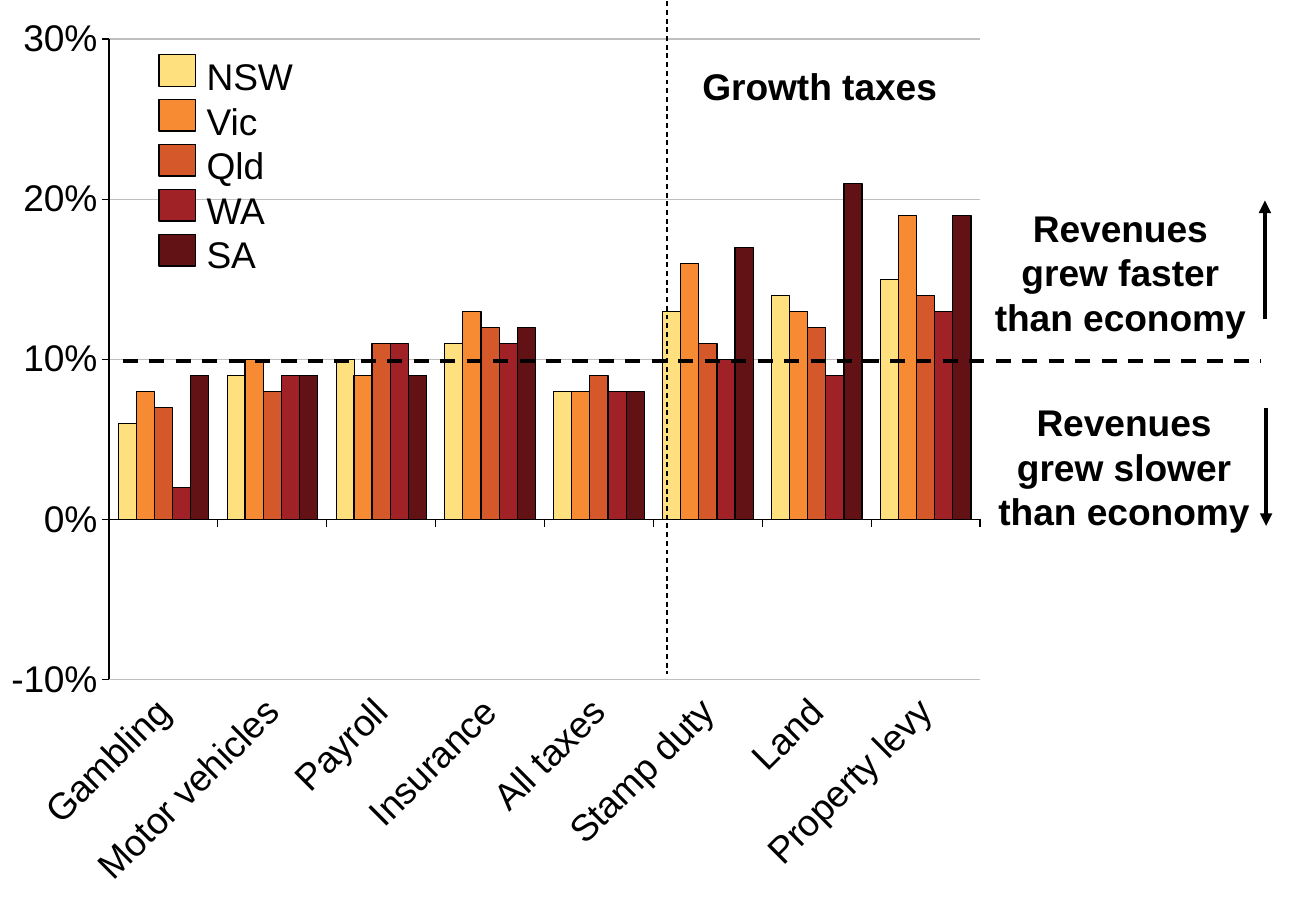
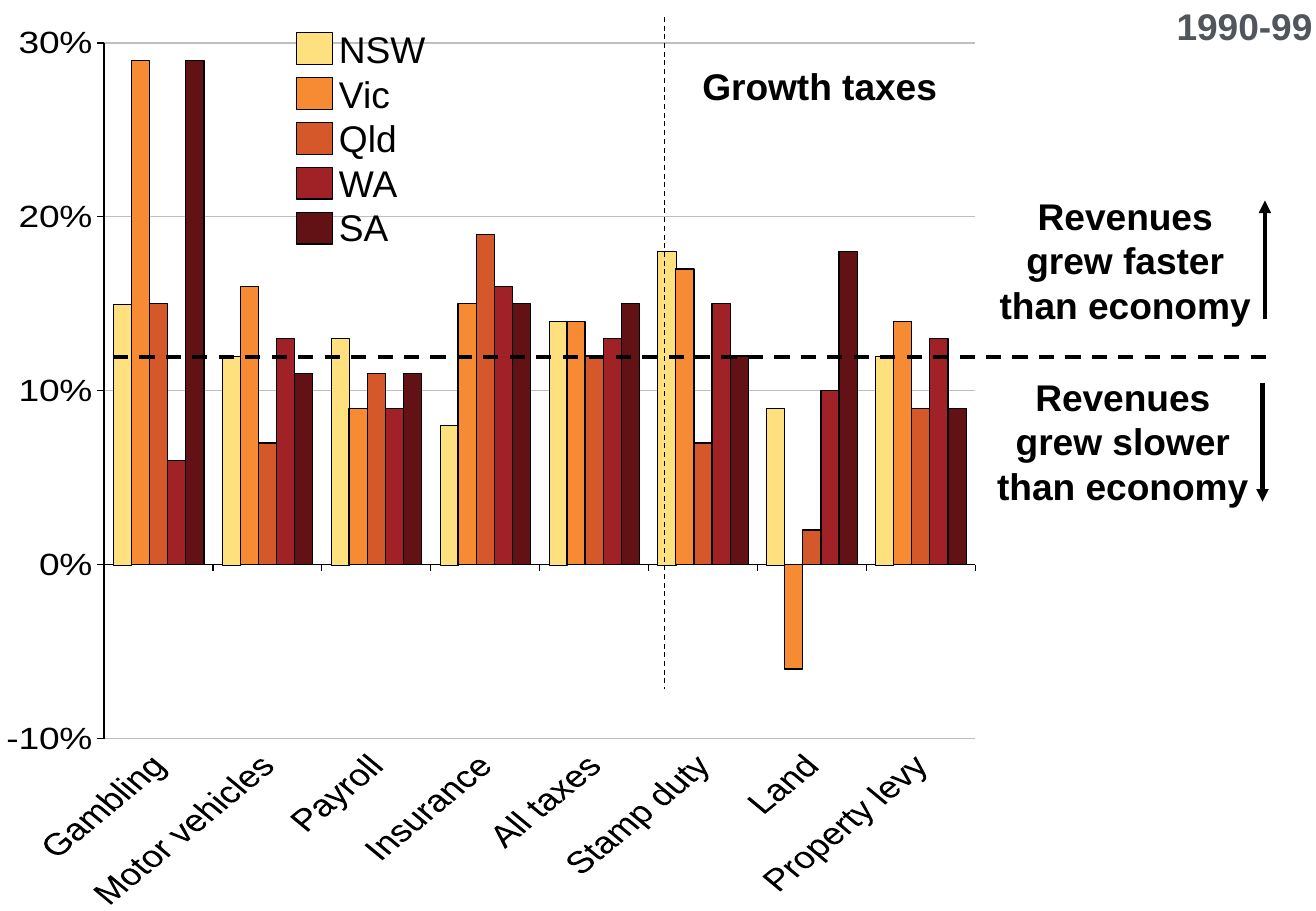
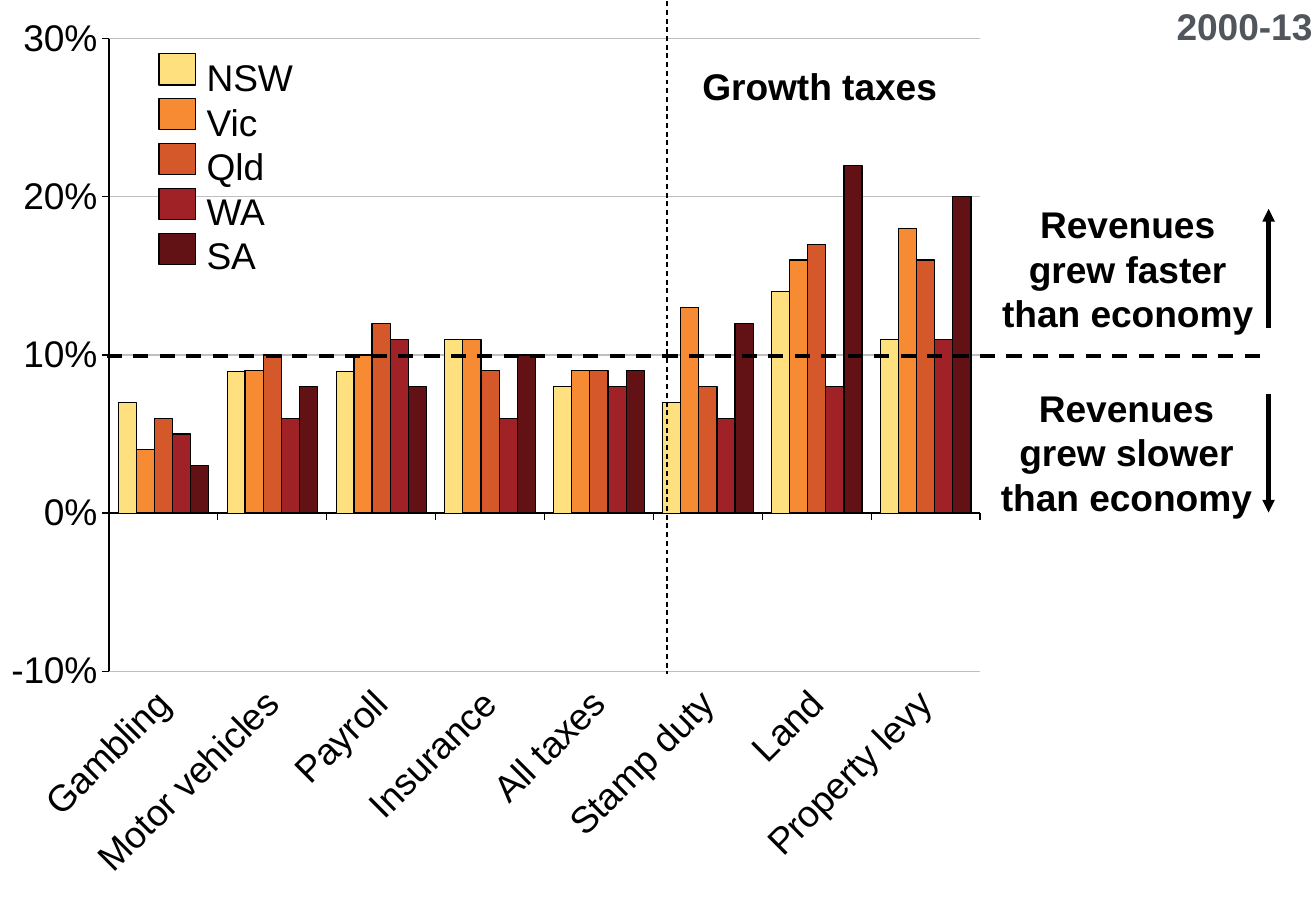
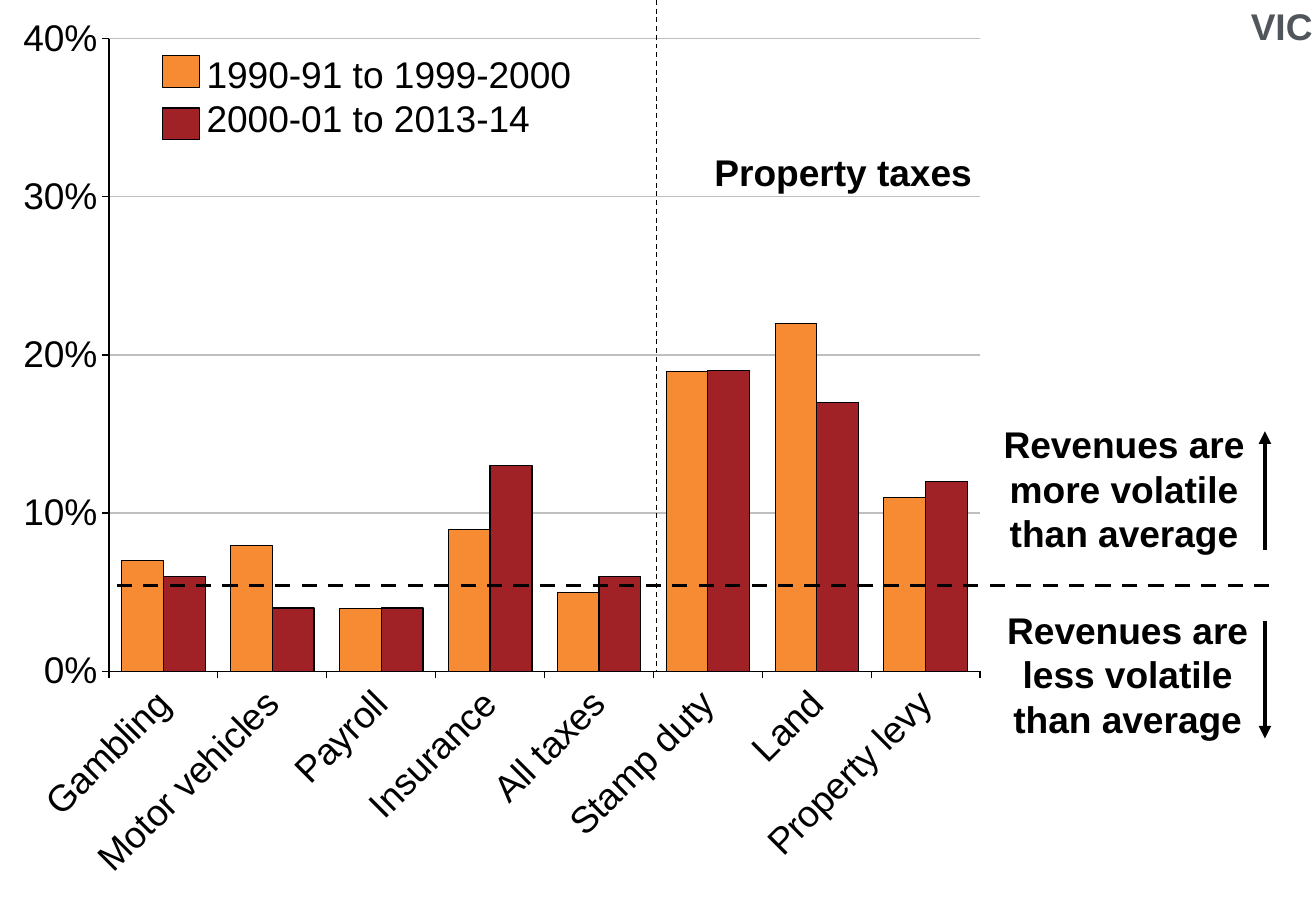
from dataclasses import dataclass

from lxml import etree
from pptx import Presentation
from pptx.chart.data import CategoryChartData
from pptx.dml.color import RGBColor
from pptx.enum.chart import XL_CHART_TYPE, XL_TICK_LABEL_POSITION, XL_TICK_MARK
from pptx.enum.dml import MSO_LINE
from pptx.enum.shapes import MSO_CONNECTOR, MSO_SHAPE
from pptx.enum.text import MSO_AUTO_SIZE, PP_ALIGN
from pptx.oxml import parse_xml
from pptx.oxml.ns import nsdecls, qn
from pptx.util import Inches, Pt

CLUSTERED = XL_CHART_TYPE.COLUMN_CLUSTERED
LABELS_LOW = XL_TICK_LABEL_POSITION.LOW
TICK_OUT, TICK_NONE = XL_TICK_MARK.OUTSIDE, XL_TICK_MARK.NONE
DASH = MSO_LINE.DASH
STRAIGHT = MSO_CONNECTOR.STRAIGHT
RECTANGLE = MSO_SHAPE.RECTANGLE
GROW = MSO_AUTO_SIZE.SHAPE_TO_FIT_TEXT
LEFT, CENTER, RIGHT = PP_ALIGN.LEFT, PP_ALIGN.CENTER, PP_ALIGN.RIGHT

BLACK = RGBColor(0x00, 0x00, 0x00)
GRID_GREY = RGBColor(0xBF, 0xBF, 0xBF)
PERIOD_GREY = RGBColor(0x50, 0x56, 0x5C)
YELLOW = RGBColor(0xFF, 0xE0, 0x7F)
ORANGE = RGBColor(0xF6, 0x8B, 0x33)
RUST = RGBColor(0xD4, 0x58, 0x2A)
RED = RGBColor(0xA0, 0x22, 0x26)
MAROON = RGBColor(0x62, 0x12, 0x14)

FONT = "Arial"
TEXT_SIZE = Pt(22)
THIN = 0.75
BLANK_LAYOUT = 6

TAXES = ["Gambling", "Motor vehicles", "Payroll", "Insurance",
         "All taxes", "Stamp duty", "Land", "Property levy"]
STATES = ["NSW", "Vic", "Qld", "WA", "SA"]
STATE_COLORS = [YELLOW, ORANGE, RUST, RED, MAROON]
DECADES = ["1990-91 to 1999-2000", "2000-01 to 2013-14"]
DECADE_COLORS = [ORANGE, RED]

GROWTH_ALL = [
    [0.06, 0.09, 0.10, 0.11, 0.08, 0.13, 0.14, 0.15],
    [0.08, 0.10, 0.09, 0.13, 0.08, 0.16, 0.13, 0.19],
    [0.07, 0.08, 0.11, 0.12, 0.09, 0.11, 0.12, 0.14],
    [0.02, 0.09, 0.11, 0.11, 0.08, 0.10, 0.09, 0.13],
    [0.09, 0.09, 0.09, 0.12, 0.08, 0.17, 0.21, 0.19],
]
GROWTH_1990S = [
    [0.15, 0.12, 0.13, 0.08, 0.14, 0.18, 0.09, 0.12],
    [0.29, 0.16, 0.09, 0.15, 0.14, 0.17, -0.06, 0.14],
    [0.15, 0.07, 0.11, 0.19, 0.12, 0.07, 0.02, 0.09],
    [0.06, 0.13, 0.09, 0.16, 0.13, 0.15, 0.10, 0.13],
    [0.29, 0.11, 0.11, 0.15, 0.15, 0.12, 0.18, 0.09],
]
GROWTH_2000S = [
    [0.07, 0.09, 0.09, 0.11, 0.08, 0.07, 0.14, 0.11],
    [0.04, 0.09, 0.10, 0.11, 0.09, 0.13, 0.16, 0.18],
    [0.06, 0.10, 0.12, 0.09, 0.09, 0.08, 0.17, 0.16],
    [0.05, 0.06, 0.11, 0.06, 0.08, 0.06, 0.08, 0.11],
    [0.03, 0.08, 0.08, 0.10, 0.09, 0.12, 0.22, 0.20],
]
VOLATILITY = [
    [0.07, 0.08, 0.04, 0.09, 0.05, 0.19, 0.22, 0.11],
    [0.06, 0.04, 0.04, 0.13, 0.06, 0.19, 0.17, 0.12],
]


@dataclass
class Verdict:
    """A remark beside the chart with the arrow that points its way."""
    text: str
    left: float
    top: float
    arrow_x: float
    arrow_from: float
    arrow_to: float


def outline(line, width=THIN, color=BLACK):
    line.color.rgb = color
    line.width = Pt(width)


def add_line(slide, start, end, width, dashed=False, arrow=False):
    x1, y1, x2, y2 = (Inches(v) for v in (*start, *end))
    connector = slide.shapes.add_connector(STRAIGHT, x1, y1, x2, y2)
    outline(connector.line, width)
    if dashed:
        connector.line.dash_style = DASH
    if arrow:
        etree.SubElement(connector.line._get_or_add_ln(), qn("a:tailEnd"),
                         type="triangle")
    etree.SubElement(connector._element.spPr, qn("a:effectLst"))


def add_text(slide, lines, left, top, width, height, align=LEFT,
             bold=True, color=BLACK, inset=True):
    box = slide.shapes.add_textbox(Inches(left), Inches(top),
                                   Inches(width), Inches(height))
    frame = box.text_frame
    frame.word_wrap = True
    frame.auto_size = GROW
    if not inset:
        frame.margin_left = frame.margin_right = 0
        frame.margin_top = frame.margin_bottom = 0
    for index, line in enumerate(lines):
        paragraph = frame.add_paragraph() if index else frame.paragraphs[0]
        paragraph.alignment = align
        run = paragraph.add_run()
        run.text = line
        run.font.name = FONT
        run.font.size = TEXT_SIZE
        run.font.bold = bold
        run.font.color.rgb = color


def add_legend(slide, names, colors, swatch_left, swatch_top, pitch,
               text_left, text_top, text_width):
    for row, color in enumerate(colors):
        swatch = slide.shapes.add_shape(
            RECTANGLE, Inches(swatch_left), Inches(swatch_top + row * pitch),
            Inches(0.3), Inches(0.26))
        swatch.shadow.inherit = False
        swatch.fill.solid()
        swatch.fill.fore_color.rgb = color
        outline(swatch.line)
    add_text(slide, names, text_left, text_top, text_width,
             0.37 * len(names), bold=False, inset=False)


def set_plot_layout(chart, height):
    """Fix the inner plot area, in fractions of the chart frame."""
    plot_area = chart._chartSpace.chart.plotArea
    for layout in plot_area.findall(qn("c:layout")):
        plot_area.remove(layout)
    plot_area.insert(0, parse_xml(
        f'<c:layout {nsdecls("c")}><c:manualLayout>'
        '<c:layoutTarget val="inner"/>'
        '<c:xMode val="edge"/><c:yMode val="edge"/>'
        '<c:x val="0.08"/><c:y val="0.043"/>'
        f'<c:w val="0.662"/><c:h val="{height}"/>'
        '</c:manualLayout></c:layout>'))


def style_axis(axis):
    axis.major_tick_mark = TICK_OUT
    axis.minor_tick_mark = TICK_NONE
    axis.tick_labels.font.size = TEXT_SIZE
    axis.tick_labels.font.color.rgb = BLACK
    outline(axis.format.line)


def add_tax_chart(slide, rows, colors, left=0.03, top=0, height=7.41,
                  plot_height=0.703, low=-0.1, high=0.3, gap=100):
    data = CategoryChartData(number_format="0%")
    data.categories = TAXES
    for number, row in enumerate(rows, 1):
        data.add_series(f"Series {number}", row)
    chart = slide.shapes.add_chart(CLUSTERED, Inches(left), Inches(top),
                                   Inches(10.83), Inches(height), data).chart
    chart.has_title = False
    chart.has_legend = False
    chart.font.name = FONT
    chart.font.size = Pt(18)
    chart.font.color.rgb = BLACK
    set_plot_layout(chart, plot_height)

    tax_axis = chart.category_axis
    style_axis(tax_axis)
    tax_axis.tick_label_position = LABELS_LOW
    tax_axis._element.txPr.find(qn("a:bodyPr")).set("rot", "-2700000")

    rate_axis = chart.value_axis
    style_axis(rate_axis)
    rate_axis.minimum_scale = low
    rate_axis.maximum_scale = high
    rate_axis.major_unit = 0.1
    rate_axis.tick_labels.number_format = "0%"
    rate_axis.tick_labels.number_format_is_linked = False
    rate_axis.has_major_gridlines = True
    outline(rate_axis.major_gridlines.format.line, color=GRID_GREY)

    plot = chart.plots[0]
    plot.vary_by_categories = False
    plot.gap_width = gap
    plot.overlap = 0
    for index, (series, color) in enumerate(zip(plot.series, colors)):
        series.invert_if_negative = False
        series.format.fill.solid()
        series.format.fill.fore_color.rgb = color
        outline(series.format.line, THIN if index else 0.25)


def add_divider(slide, x, top, bottom, group, group_left, group_top):
    """Set the taxes on the right apart and name their group."""
    add_line(slide, (x, top), (x, bottom), THIN, dashed=True)
    add_text(slide, [group], group_left, group_top, 2.23, 0.37, inset=False)


def add_benchmark(slide, y, left, right, verdicts):
    add_line(slide, (left, y), (right, y), 2.25, dashed=True)
    for verdict in verdicts:
        add_text(slide, [verdict.text], verdict.left, verdict.top,
                 2.32, 1.21, align=CENTER)
        add_line(slide, (verdict.arrow_x, verdict.arrow_from),
                 (verdict.arrow_x, verdict.arrow_to), 2.5, arrow=True)


def add_corner_label(slide, label):
    add_text(slide, [label], 9.46, -0.02, 1.44, 0.47, align=RIGHT,
             color=PERIOD_GREY)


def add_growth_slide(new_slide, rows, chart_place, legend_place,
                     divider_place, benchmark_place, faster, slower,
                     period=None):
    slide = new_slide()
    add_tax_chart(slide, rows, STATE_COLORS, **chart_place)
    swatch_left, swatch_top, text_left, text_top = legend_place
    add_legend(slide, STATES, STATE_COLORS, swatch_left, swatch_top, 0.37,
               text_left, text_top, 0.84)
    add_divider(slide, *divider_place, "Growth taxes", 5.78, 0.52)
    add_benchmark(slide, *benchmark_place, [
        Verdict("Revenues grew faster than economy", *faster),
        Verdict("Revenues grew slower than economy", *slower)])
    if period:
        add_corner_label(slide, period)


def add_volatility_slide(new_slide):
    slide = new_slide()
    add_tax_chart(slide, VOLATILITY, DECADE_COLORS, low=0, high=0.4, gap=60)
    add_legend(slide, DECADES, DECADE_COLORS, 1.34, 0.46, 0.43,
               1.7, 0.42, 3.7)
    add_divider(slide, 5.4, 0, 5.53, "Property taxes", 5.88, 1.23)
    add_benchmark(slide, 4.82, 0.96, 10.53, [
        Verdict("Revenues are more volatile than average",
                8.09, 3.42, 10.41, 4.53, 3.55),
        Verdict("Revenues are less volatile than average",
                8.12, 4.95, 10.41, 5.11, 6.08)])
    add_corner_label(slide, "VIC")


def main():
    prs = Presentation()
    prs.slide_width = Inches(10.83)
    prs.slide_height = Inches(7.5)

    def new_slide():
        return prs.slides.add_slide(prs.slide_layouts[BLANK_LAYOUT])

    add_growth_slide(
        new_slide, GROWTH_ALL,
        chart_place={"height": 7.5},
        legend_place=(1.31, 0.45, 1.7, 0.44),
        divider_place=(5.49, 0.01, 5.55),
        benchmark_place=(2.97, 1.01, 10.38),
        faster=(8.06, 1.64, 10.41, 2.63, 1.65),
        slower=(8.09, 3.24, 10.42, 3.36, 4.33))
    add_growth_slide(
        new_slide, GROWTH_1990S,
        chart_place={"left": -0.01, "top": 0.09, "plot_height": 0.933},
        legend_place=(2.44, 0.27, 2.79, 0.22),
        divider_place=(5.47, 0.14, 5.67),
        benchmark_place=(2.94, 0.93, 10.49),
        faster=(8.1, 1.54, 10.41, 2.63, 1.65),
        slower=(8.08, 3.03, 10.39, 3.15, 4.13),
        period="1990-99")
    add_growth_slide(
        new_slide, GROWTH_2000S,
        chart_place={},
        legend_place=(1.31, 0.44, 1.7, 0.45),
        divider_place=(5.49, 0.01, 5.55),
        benchmark_place=(2.93, 0.88, 10.44),
        faster=(8.12, 1.61, 10.44, 2.7, 1.72),
        slower=(8.11, 3.12, 10.44, 3.24, 4.22),
        period="2000-13")
    add_volatility_slide(new_slide)

    prs.save("out.pptx")


if __name__ == "__main__":
    main()
